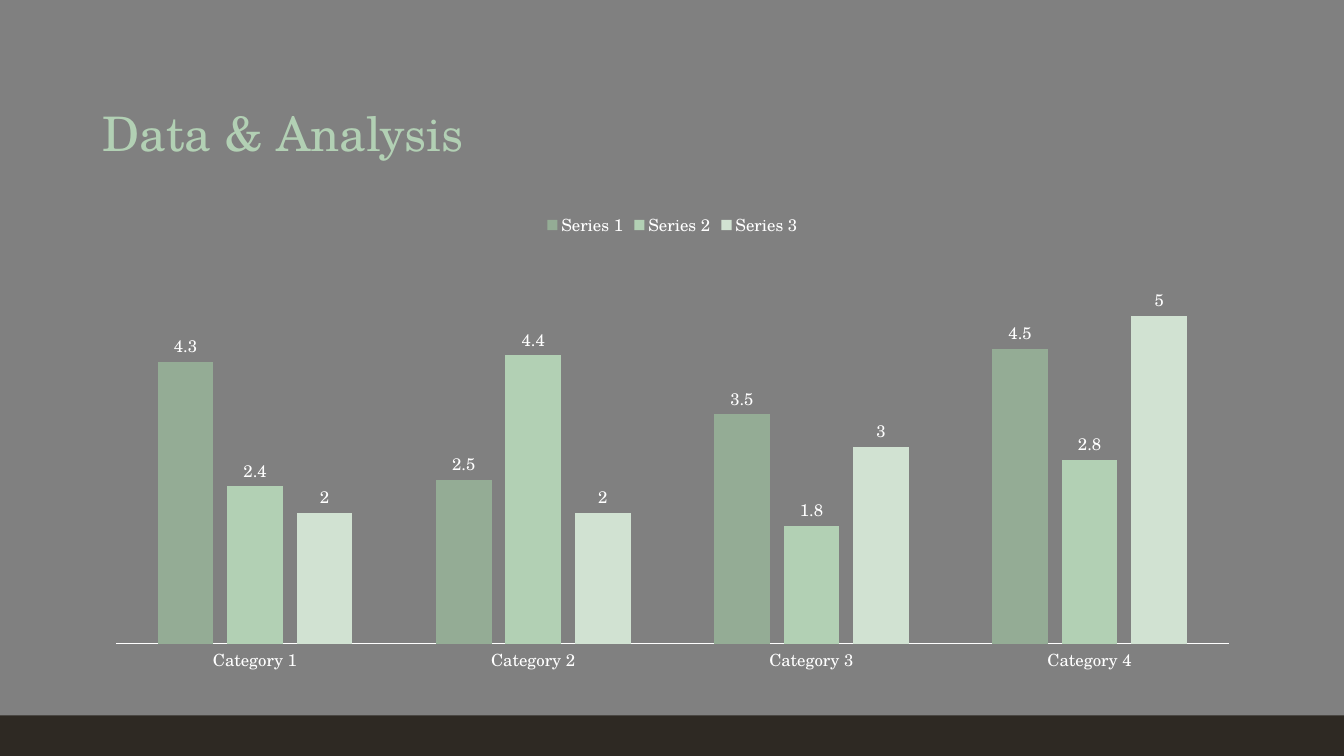
"""Build the Data & Analysis slide with a clustered column chart."""
from dataclasses import dataclass
from typing import Any

from pptx import Presentation
from pptx import util as u
from pptx.chart import data as cd
from pptx.dml.color import RGBColor
from pptx.enum import chart as ch, shapes, text

COLORS = {
    "background": "808080",
    "band": "2E2923",
    "title": "B2D0B4",
    "text": "FFFFFF",
    "sage": "94AC95",
    "mint": "B2D0B4",
    "pale": "D1E2D2",
}
FONT = "TeX Gyre Schola"
CATEGORIES = [f"Category {n}" for n in range(1, 5)]


@dataclass(frozen=True)
class Box:
    left: float
    top: float
    width: float
    height: float

    def lengths(self) -> list[u.Length]:
        return [u.Cm(v) for v in (self.left, self.top, self.width, self.height)]


@dataclass(frozen=True)
class Series:
    name: str
    values: tuple[float, ...]
    color: str


SERIES = [
    Series("Series 1", (4.3, 2.5, 3.5, 4.5), "sage"),
    Series("Series 2", (2.4, 4.4, 1.8, 2.8), "mint"),
    Series("Series 3", (2, 2, 3, 5), "pale"),
]
BAND = Box(0, 18.03, 33.87, 1.02)
TITLE = Box(2.34, 1.02, 29.21, 3.18)
CHART = Box(2.34, 5.08, 29.21, 12.09)


def rgb(name: str) -> RGBColor:
    return RGBColor.from_string(COLORS[name])


def apply(target: Any, **values: Any) -> None:
    for key, value in values.items():
        setattr(target, key, value)


def fill(target: Any, color: str) -> None:
    target.fill.solid()
    target.fill.fore_color.rgb = rgb(color)


def style_font(font: Any, size: float, color: str) -> None:
    apply(font, name=FONT, size=u.Pt(size), bold=False)
    font.color.rgb = rgb(color)


def add_band(s: Any) -> None:
    sp = s.shapes.add_shape(shapes.MSO_SHAPE.RECTANGLE, *BAND.lengths())
    sp.shadow.inherit = False
    fill(sp, "band")
    sp.line.fill.background()


def add_title(s: Any) -> None:
    tf = s.shapes.add_textbox(*TITLE.lengths()).text_frame
    apply(tf, word_wrap=True, vertical_anchor=text.MSO_ANCHOR.BOTTOM)
    p = tf.paragraphs[0]
    p.line_spacing = 0.9
    r = p.add_run()
    r.text = "Data & Analysis"
    style_font(r.font, 34, "title")


def add_columns(s: Any) -> None:
    data = cd.CategoryChartData()
    data.categories = CATEGORIES
    for item in SERIES:
        data.add_series(item.name, item.values)
    frame = s.shapes.add_chart(
        ch.XL_CHART_TYPE.COLUMN_CLUSTERED, *CHART.lengths(), data
    )
    chart = frame.chart
    apply(chart, has_title=False, has_legend=True)
    style_font(chart.font, 10, "text")

    apply(chart.legend, position=ch.XL_LEGEND_POSITION.TOP, include_in_layout=False)
    style_font(chart.legend.font, 12, "text")

    apply(
        chart.value_axis,
        visible=False,
        has_major_gridlines=False,
        minimum_scale=0,
        maximum_scale=6,
    )
    axis = chart.category_axis
    apply(
        axis,
        major_tick_mark=ch.XL_TICK_MARK.NONE,
        minor_tick_mark=ch.XL_TICK_MARK.NONE,
    )
    style_font(axis.tick_labels.font, 12, "text")
    axis.format.line.color.rgb = rgb("text")
    axis.format.line.width = u.Pt(0.75)

    plot = chart.plots[0]
    apply(plot, gap_width=150, overlap=-25, vary_by_categories=False)
    for series, item in zip(plot.series, SERIES):
        fill(series.format, item.color)
        labels = series.data_labels
        apply(labels, show_value=True, position=ch.XL_LABEL_POSITION.OUTSIDE_END)
        style_font(labels.font, 12, "text")


def main() -> None:
    prs = Presentation()
    apply(prs, slide_width=u.Cm(33.87), slide_height=u.Cm(19.05))
    s = prs.slides.add_slide(prs.slide_layouts[6])
    fill(s.background, "background")
    add_band(s)
    add_title(s)
    add_columns(s)
    prs.save("out.pptx")


main()
